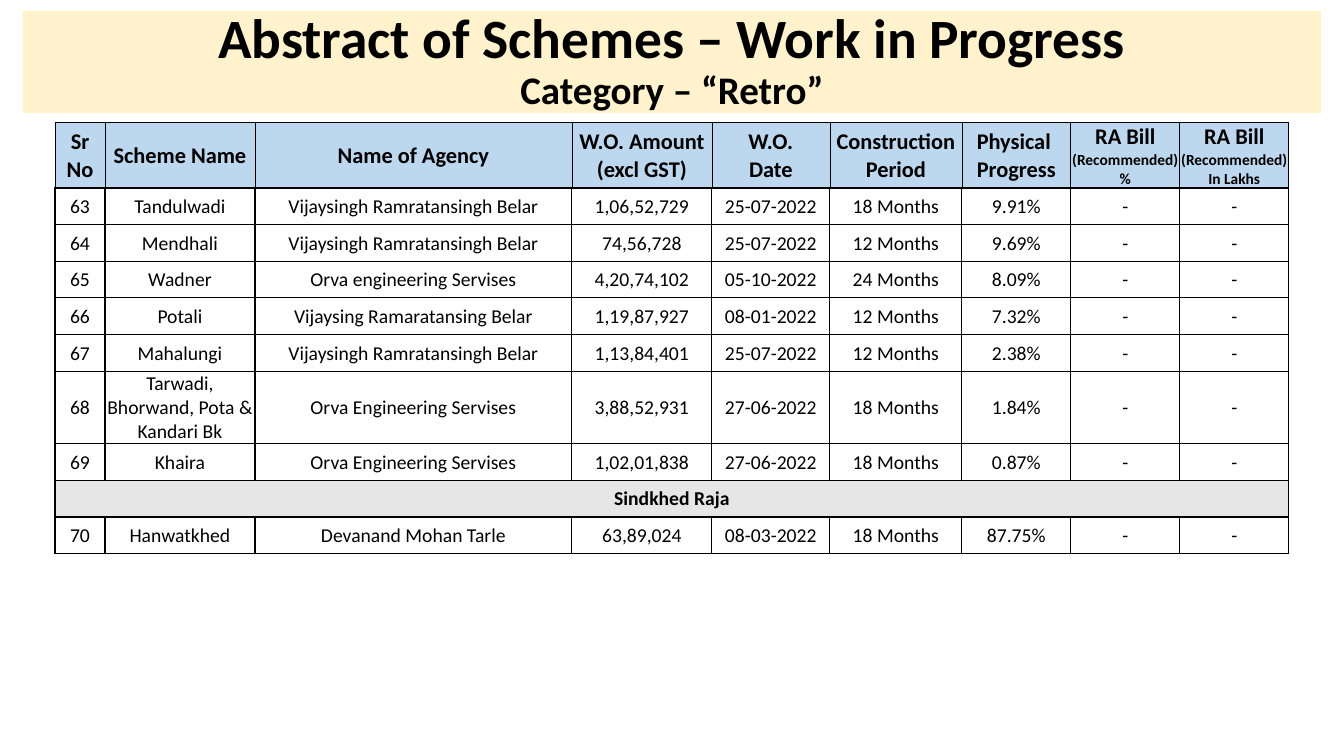
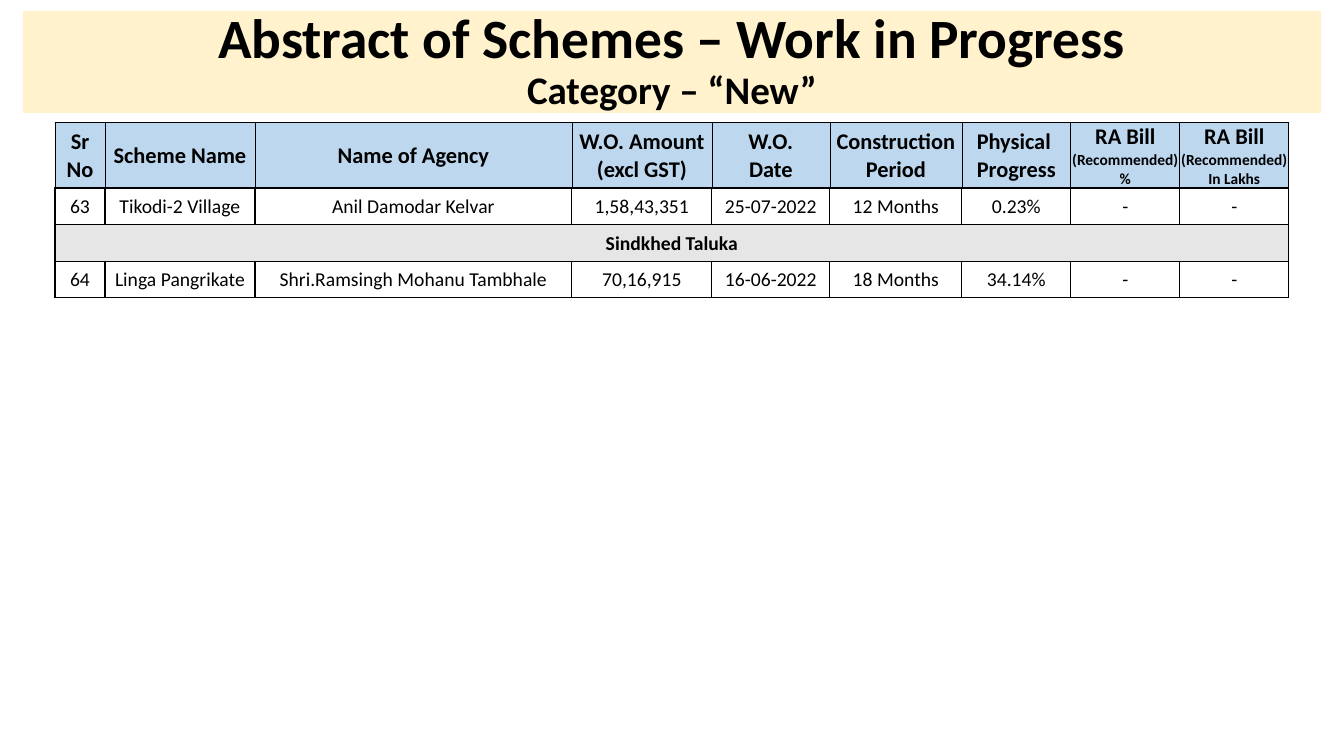
from lxml.etree import SubElement
from pptx import Presentation
from pptx.dml.color import RGBColor
from pptx.enum.shapes import MSO_SHAPE
from pptx.enum.text import MSO_ANCHOR, PP_ALIGN
from pptx.oxml.ns import qn
from pptx.util import Pt

TITLE = "Abstract of Schemes – Work in Progress"

# Label lines and small note lines of each column, with its width in px
COLUMNS = [
    (["Sr No"], [], 50),
    (["Scheme Name"], [], 150),
    (["Name of Agency"], [], 317),
    (["W.O. Amount", "(excl GST)"], [], 140),
    (["W.O.", "Date"], [], 118),
    (["Construction", "Period"], [], 132),
    (["Physical ", "Progress"], [], 109),
    (["RA Bill"], ["(Recommended)", "%"], 109),
    (["RA Bill"], ["(Recommended)", "In Lakhs"], 109),
]

# A plain string is a heading across the whole table
SLIDES = [
    ("Category – “Retro”", [
        ("63", "Tandulwadi", "Vijaysingh Ramratansingh Belar", "1,06,52,729", "25-07-2022", "18 Months", "9.91%", "-", "-"),
        ("64", "Mendhali", "Vijaysingh Ramratansingh Belar", "74,56,728", "25-07-2022", "12 Months", "9.69%", "-", "-"),
        ("65", "Wadner", "Orva engineering Servises", "4,20,74,102", "05-10-2022", "24 Months", "8.09%", "-", "-"),
        ("66", "Potali", "Vijaysing Ramaratansing Belar", "1,19,87,927", "08-01-2022", "12 Months", "7.32%", "-", "-"),
        ("67", "Mahalungi", "Vijaysingh Ramratansingh Belar", "1,13,84,401", "25-07-2022", "12 Months", "2.38%", "-", "-"),
        ("68", "Tarwadi, Bhorwand, Pota & Kandari Bk", "Orva Engineering Servises", "3,88,52,931", "27-06-2022", "18 Months", "1.84%", "-", "-"),
        ("69", "Khaira", "Orva Engineering Servises", "1,02,01,838", "27-06-2022", "18 Months", "0.87%", "-", "-"),
        "Sindkhed Raja",
        ("70", "Hanwatkhed", "Devanand Mohan Tarle", "63,89,024", "08-03-2022", "18 Months", "87.75%", "-", "-"),
    ]),
    ("Category – “New”", [
        ("63", "Tikodi-2 Village", "Anil Damodar Kelvar", "1,58,43,351", "25-07-2022", "12 Months", "0.23%", "-", "-"),
        "Sindkhed Taluka",
        ("64", "Linga Pangrikate", "Shri.Ramsingh Mohanu Tambhale", "70,16,915", "16-06-2022", "18 Months", "34.14%", "-", "-"),
    ]),
]

COLORS = {"text": "000000", "band": "FFF2CC", "header": "BDD7EE", "section": "E7E6E6"}
FONT = "Calibri"
TABLE_LEFT, HEADER_TOP, HEADER_HEIGHT = 55, 122, 66
THREE_ROWS_HEIGHT, TALL_ROW_HEIGHT = 110, 72
LONG_NAME = 20  # longer scheme names wrap onto three lines


def px(length):
    return round(length * 914400 / 100.8)


def color(name):
    return RGBColor.from_string(COLORS[name])


def style_font(font, size, bold):
    font.name, font.size, font.bold = FONT, Pt(size), bold
    font.color.rgb = color("text")


def add_title(slide, category):
    band = slide.shapes.add_shape(MSO_SHAPE.RECTANGLE, px(23), px(11), px(1298), px(102))
    band.shadow.inherit = False
    band.fill.solid()
    band.fill.fore_color.rgb = color("band")
    band.line.fill.background()
    frame = band.text_frame
    frame.word_wrap = True
    frame.vertical_anchor = MSO_ANCHOR.MIDDLE
    paragraph = frame.paragraphs[0]
    paragraph.alignment = PP_ALIGN.CENTER
    paragraph.line_spacing = 0.9
    title = paragraph.add_run()
    title.text = TITLE
    style_font(title.font, 39.6, True)
    paragraph.add_line_break()
    subtitle = paragraph.add_run()
    subtitle.text = category
    style_font(subtitle.font, 27.9, True)


def add_borders(cell, widths):
    """Draw the left, right, top and bottom borders, with widths in points."""
    properties = cell._tc.get_or_add_tcPr()
    for side, width in zip("LRTB", widths):
        line = SubElement(properties, qn(f"a:ln{side}"), w=str(Pt(width)))
        fill = SubElement(line, qn("a:solidFill"))
        SubElement(fill, qn("a:srgbClr"), val=COLORS["text"])


def fill_cell(cell, lines, borders, fill=None, bold=False):
    """Write (text, size) lines, one paragraph each, into a bordered cell."""
    cell.margin_left = cell.margin_right = cell.margin_top = px(1)
    cell.margin_bottom = 0
    cell.vertical_anchor = MSO_ANCHOR.MIDDLE
    add_borders(cell, borders)
    if fill:
        cell.fill.solid()
        cell.fill.fore_color.rgb = color(fill)
    else:
        cell.fill.background()
    cell.text_frame.text = "\n".join(text for text, size in lines)
    for paragraph, (text, size) in zip(cell.text_frame.paragraphs, lines):
        paragraph.alignment = PP_ALIGN.CENTER
        style_font(paragraph.font, size, bold)


def add_grid(slide, top, row_heights):
    """Add a plain table with the shared columns; row heights are in EMU."""
    widths = [px(width) for labels, notes, width in COLUMNS]
    table = slide.shapes.add_table(len(row_heights), len(widths), px(TABLE_LEFT), px(top),
                                   sum(widths), sum(row_heights)).table
    table.first_row = table.horz_banding = False
    for column, width in zip(table.columns, widths):
        column.width = width
    for row, height in zip(table.rows, row_heights):
        row.height = height
    return table


def add_header(slide):
    table = add_grid(slide, HEADER_TOP, [px(HEADER_HEIGHT)])
    for cell, (labels, notes, width) in zip(table.rows[0].cells, COLUMNS):
        lines = [(text, 16) for text in labels] + [(text, 11) for text in notes]
        fill_cell(cell, lines, (0.5, 0.5, 0.5, 1), "header", True)


def row_height(row):
    is_tall = not isinstance(row, str) and len(row[1]) > LONG_NAME
    return px(TALL_ROW_HEIGHT if is_tall else THREE_ROWS_HEIGHT / 3)


def add_schemes(slide, rows):
    table = add_grid(slide, HEADER_TOP + HEADER_HEIGHT, [row_height(row) for row in rows])
    for index, row in enumerate(rows):
        cells = list(table.rows[index].cells)
        is_section = isinstance(row, str)
        if is_section:
            cells[0].merge(cells[-1])
        texts = [row] + [""] * (len(cells) - 1) if is_section else row
        for cell, text in zip(cells, texts):
            fill_cell(cell, [(text, 14)], (1, 1, 1, 1), "section" if is_section else None, is_section)


def main():
    presentation = Presentation()
    presentation.slide_width, presentation.slide_height = px(1344), px(756)
    for category, rows in SLIDES:
        slide = presentation.slides.add_slide(presentation.slide_layouts[6])
        add_title(slide, category)
        add_header(slide)
        add_schemes(slide, rows)
    presentation.save("out.pptx")


if __name__ == "__main__":
    main()
